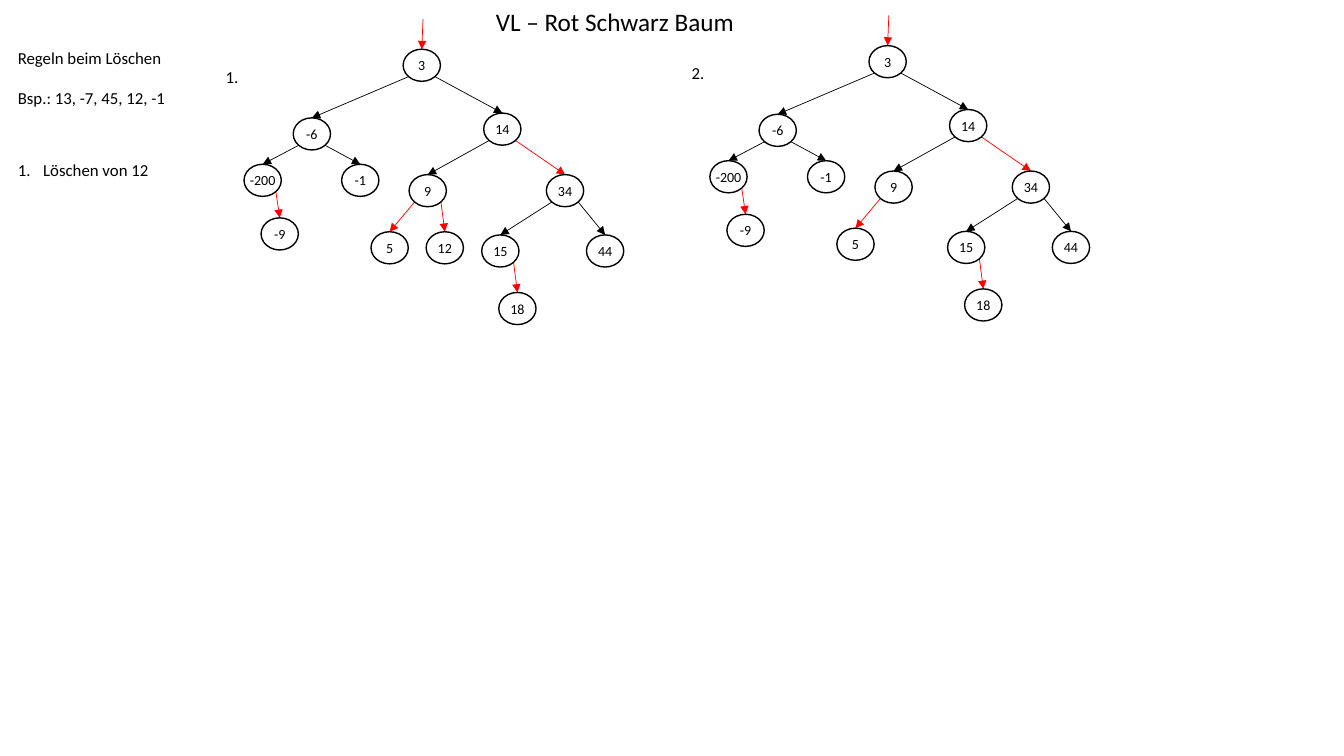
from math import sqrt

from lxml.etree import SubElement
from pptx import Presentation
from pptx.dml.color import RGBColor
from pptx.enum.shapes import MSO_CONNECTOR as Connector, MSO_SHAPE as Shape
from pptx.enum.text import MSO_ANCHOR as Anchor, MSO_AUTO_SIZE as AutoSize, PP_ALIGN as Align
from pptx.oxml.ns import qn
from pptx.util import Cm, Pt

BLACK, RED = "000000", "FF0000"
NODE_WIDTH, NODE_HEIGHT = 0.94, 0.81

# Left and top of each node in cm, by key
NODES = {
    "3": (10.16, 1.24),
    "-6": (7.39, 2.97), "14": (12.19, 2.85),
    "-200": (6.15, 4.14), "-1": (8.61, 4.14), "9": (10.31, 4.4), "34": (13.77, 4.4),
    "-9": (6.58, 5.49), "5": (9.35, 5.84), "12": (10.74, 5.84),
    "15": (12.14, 5.92), "44": (14.78, 5.92),
    "18": (12.57, 7.37),
}
# Parent, child, colour of the edge
EDGES = [
    ("3", "-6", BLACK), ("3", "14", BLACK),
    ("-6", "-200", BLACK), ("-6", "-1", BLACK), ("-200", "-9", RED),
    ("14", "9", BLACK), ("14", "34", RED),
    ("9", "5", RED), ("9", "12", RED),
    ("34", "15", BLACK), ("34", "44", BLACK), ("15", "18", RED),
]


def color(value):
    return RGBColor.from_string(value)


def apply_format(target, values):
    for name, value in values.items():
        setattr(target, name, value)


def fill_text(box, lines, size, frame_format, para_format):
    """Write one paragraph per line and format frame, paragraphs and spans."""
    frame = box.text_frame
    apply_format(frame, frame_format)
    for index, line in enumerate(lines):
        para = frame.add_paragraph() if index else frame.paragraphs[0]
        apply_format(para, para_format)
        span = para.add_run()
        span.text = line
        apply_format(span.font, {"size": Pt(size), "name": "Calibri"})
        span.font.color.rgb = color(BLACK)
    return frame.paragraphs


def add_title(page, text):
    title = page.shapes.title
    apply_format(title, {"left": Cm(12.24), "top": Cm(0.03), "width": Cm(6.58), "height": Cm(1.02)})
    fill_text(title, [text], 18,
              {"word_wrap": False, "vertical_anchor": Anchor.TOP,
               "auto_size": AutoSize.SHAPE_TO_FIT_TEXT},
              {"alignment": Align.LEFT})


def add_text(page, lines, left, top, width, height):
    box = page.shapes.add_textbox(Cm(left), Cm(top), Cm(width), Cm(height))
    return fill_text(box, lines, 12,
                     {"word_wrap": True, "auto_size": AutoSize.SHAPE_TO_FIT_TEXT}, {})


def number_paragraph(para):
    properties = para._p.get_or_add_pPr()
    properties.set("marL", str(Cm(0.64)))
    properties.set("indent", str(Cm(-0.64)))
    SubElement(properties, qn("a:buFont"), typeface="+mj-lt")
    SubElement(properties, qn("a:buAutoNum"), type="arabicPeriod")


def add_node(page, key, left, top):
    node = page.shapes.add_shape(Shape.OVAL, Cm(left), Cm(top), Cm(NODE_WIDTH), Cm(NODE_HEIGHT))
    node.shadow.inherit = False
    node.fill.background()
    node.line.color.rgb = color(BLACK)
    node.line.width = Pt(1)
    margins = {f"margin_{side}": 0 for side in ("left", "top", "right", "bottom")}
    fill_text(node, [key], 10,
              {"word_wrap": False, "vertical_anchor": Anchor.MIDDLE, **margins},
              {"alignment": Align.CENTER})


def add_arrow(page, start, end, line_color):
    arrow = page.shapes.add_connector(Connector.STRAIGHT, *(Cm(value) for value in start + end))
    arrow.line.color.rgb = color(line_color)
    arrow.line.width = Pt(0.5)
    SubElement(arrow.line._get_or_add_ln(), qn("a:tailEnd"), type="triangle")
    SubElement(arrow._element.spPr, qn("a:effectLst"))


def add_tree(page, label, shift_x=0, shift_y=0, deleted=()):
    places = {key: (left + shift_x, top + shift_y)
              for key, (left, top) in NODES.items() if key not in deleted}
    add_text(page, [label], 5.44 + shift_x, 1.55 + shift_y, 1.07, 0.76)

    def top_of(key):
        left, top = places[key]
        return left + NODE_WIDTH / 2, top

    # Edges leave the lower diagonal of the parent and reach the top of the child
    for parent, child, line_color in EDGES:
        if child in deleted:
            continue
        (x, y), end = top_of(parent), top_of(child)
        side = -1 if end[0] < x else 1
        start = (x + side * NODE_WIDTH / sqrt(8), y + NODE_HEIGHT * (0.5 + 1 / sqrt(8)))
        add_arrow(page, start, end, line_color)

    # Arrow into the root
    x, y = top_of("3")
    add_arrow(page, (x + 0.03, y - 0.76), (x, y), RED)

    for key, (left, top) in places.items():
        add_node(page, key, left, top)


def main():
    deck = Presentation()
    apply_format(deck, {"slide_width": Cm(33.87), "slide_height": Cm(19.05)})
    page = deck.slides.add_slide(deck.slide_layouts[5])

    # Title and rules
    add_title(page, "VL – Rot Schwarz Baum")
    rules = add_text(page, ["Regeln beim Löschen", "Bsp.: 13, -7, 45, 12, -1"],
                     0.2, 1.07, 4.88, 1.8)
    rules[1].space_before = Pt(14.65)
    steps = add_text(page, ["Löschen von 12"], 0.2, 3.89, 4.22, 1.27)
    number_paragraph(steps[0])

    # Trees before and after the deletion
    add_tree(page, "1.")
    add_tree(page, "2.", 11.74, -0.09, deleted=("12",))

    deck.save("out.pptx")


if __name__ == "__main__":
    main()
